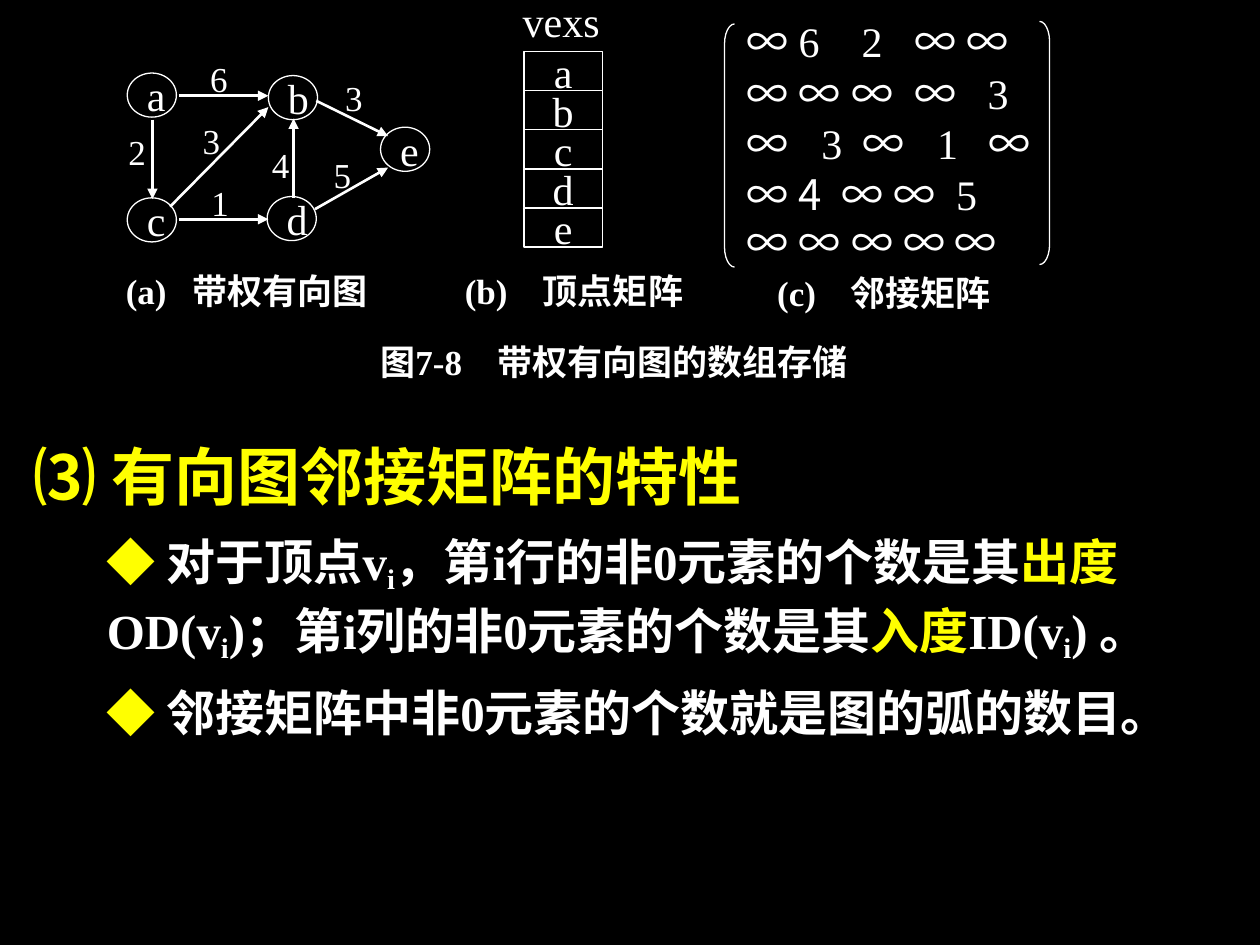
from lxml import etree
from pptx import Presentation
from pptx.dml.color import RGBColor
from pptx.enum.shapes import MSO_CONNECTOR, MSO_SHAPE
from pptx.enum.text import MSO_ANCHOR, PP_ALIGN
from pptx.oxml.ns import qn
from pptx.util import Inches, Pt

OVAL, RECTANGLE = MSO_SHAPE.OVAL, MSO_SHAPE.RECTANGLE
LEFT_BRACKET, RIGHT_BRACKET = MSO_SHAPE.LEFT_BRACKET, MSO_SHAPE.RIGHT_BRACKET
LEFT, CENTER = PP_ALIGN.LEFT, PP_ALIGN.CENTER
TOP, MIDDLE = MSO_ANCHOR.TOP, MSO_ANCHOR.MIDDLE
STRAIGHT = MSO_CONNECTOR.STRAIGHT

COLORS = {"back": "000000", "text": "FFFFFF", "accent": "FFFF00"}
SERIF, SANS = "Times New Roman", "Noto Sans CJK SC"

# Content: weighted directed graph (lengths in inches)
VERTICES = {"a": (1.01, 0.58), "b": (2.13, 0.6), "c": (1.01, 1.57),
            "d": (2.12, 1.56), "e": (3.02, 1.01)}
VERTEX_SIZE = (0.39, 0.35)
EDGES = [  # weight, label corner, start, end
    ("6", (1.57, 0.47), (1.42, 0.76), (2.13, 0.76)),
    ("2", (0.92, 1.05), (1.21, 0.95), (1.21, 1.58)),
    ("3", (1.51, 0.96), (1.35, 1.64), (2.13, 0.85)),
    ("1", (1.58, 1.45), (1.42, 1.74), (2.13, 1.74)),
    ("4", (2.06, 1.15), (2.33, 1.57), (2.33, 0.94)),
    ("3", (2.64, 0.62), (2.51, 0.8), (3.08, 1.08)),
    ("5", (2.55, 1.23), (2.5, 1.66), (3.08, 1.33)),
]

# Content: adjacency matrix, each row with its top and tab stops
MATRIX = [
    ("∞ 6 2 ∞ ∞", 0.15, (0.41, 0.91, 1.33, 1.74)),
    ("∞ ∞ ∞ ∞ 3", 0.56, (0.41, 0.83, 1.33, 1.91)),
    ("∞ 3 ∞ 1 ∞", 0.96, (0.59, 0.92, 1.51, 1.92)),
    ("∞ 4 ∞ ∞ 5", 1.36, (0.41, 0.75, 1.16, 1.66)),
    ("∞ ∞ ∞ ∞ ∞", 1.74, (0.41, 0.83, 1.24, 1.65)),
]
SANS_VALUES = {"∞", "4"}
MATRIX_LEFT, MATRIX_WIDTH = 5.83, 2.5
BRACKETS = [(LEFT_BRACKET, 5.75, 0.19), (RIGHT_BRACKET, 8.25, 0.17)]

CAPTIONS = [  # text, box, tab stop
    ("(a)\t带权有向图", (0.9, 2.13, 2.1, 0.35), 0.53),
    ("(b)\t顶点矩阵", (3.59, 2.13, 1.95, 0.35), 0.62),
    ("(c)\t邻接矩阵", (6.07, 2.15, 1.95, 0.35), 0.58),
    ("图7-8\t带权有向图的数组存储", (2.92, 2.69, 3.95, 0.35), 0.93),
]

# Content: properties, as (text, format) spans
ACCENT, SUB = {"color": "accent"}, {"base": -18}
BULLET = ("◆ ", {"color": "accent", "font": SANS})
HEADING = [("⑶ ", {"font": SANS}), ("有向图邻接矩阵的特性", {})]
POINTS = [
    [BULLET, ("对于顶点v", {}), ("i", SUB),
     ("，第i行的非0元素的个数是其", {}), ("出度", ACCENT),
     ("OD(v", {}), ("i", SUB), (")；第i列的非0元素的个数是其", {}),
     ("入度", ACCENT), ("ID(v", {}), ("i", SUB), (") 。", {})],
    [BULLET, ("邻接矩阵中非0元素的个数就是图的弧的数目。", {})],
]


def rgb(name):
    return RGBColor.from_string(COLORS[name])


def add_span(para, text, size=24, color="text", font=SERIF, bold=False, base=0):
    span = para.add_run()
    span.text = text
    span.font.size = Pt(size)
    span.font.bold = bold
    span.font.color.rgb = rgb(color)
    span.font.name = font
    props = span.font._element
    etree.SubElement(props, qn("a:ea")).set("typeface", SANS)
    if base:
        props.set("baseline", str(base * 1000))


def prepare(shape, wrap=False, anchor=MIDDLE):
    frame = shape.text_frame
    frame.word_wrap = wrap
    frame.vertical_anchor = anchor
    return frame


def set_tabs(para, stops):
    tabs = etree.SubElement(para._p.get_or_add_pPr(), qn("a:tabLst"))
    for stop in stops:
        etree.SubElement(tabs, qn("a:tab"), pos=str(Inches(stop)), algn="l")


def add_text(page, area, spans, tabs=(), **style):
    box = page.shapes.add_textbox(*map(Inches, area))
    frame = prepare(box)
    frame.margin_right = 0
    para = frame.paragraphs[0]
    if tabs:
        set_tabs(para, tabs)
    for text, extra in spans:
        add_span(para, text, **{**style, **extra})


def add_outline(page, kind, area, text="", align=LEFT):
    shape = page.shapes.add_shape(kind, *map(Inches, area))
    shape.shadow.inherit = False
    shape.fill.background()
    shape.line.color.rgb = rgb("text")
    shape.line.width = Pt(0.75)
    if text:
        para = prepare(shape).paragraphs[0]
        para.alignment = align
        add_span(para, text)
    return shape


def add_arrow(page, start, end):
    arrow = page.shapes.add_connector(STRAIGHT, *map(Inches, start + end))
    arrow.line.color.rgb = rgb("text")
    arrow.line.width = Pt(1.5)
    etree.SubElement(arrow.line._get_or_add_ln(), qn("a:tailEnd"), type="triangle")
    etree.SubElement(arrow._element.spPr, qn("a:effectLst"))


def add_graph(page):
    for name, corner in VERTICES.items():
        add_outline(page, OVAL, corner + VERTEX_SIZE, name)
    for weight, corner, start, end in EDGES:
        add_arrow(page, start, end)
        add_text(page, corner + (0.31, 0.31), [(weight, {})], size=20)


def add_vertex_list(page):
    add_text(page, (4.05, -0.01, 0.85, 0.35), [("vexs", {})])
    for row, name in enumerate(VERTICES):
        add_outline(page, RECTANGLE, (4.16, 0.41 + row * 0.31, 0.62, 0.31), name, CENTER)


def add_matrix(page):
    for values, top, stops in MATRIX:
        spans = []
        for column, value in enumerate(values.split()):
            font = SANS if value in SANS_VALUES else SERIF
            spans.append(("\t" * (column > 0) + value, {"font": font}))
        add_text(page, (MATRIX_LEFT, top, MATRIX_WIDTH, 0.35), spans, tabs=stops)
    for kind, left, top in BRACKETS:
        bracket = add_outline(page, kind, (left, top, 0.08, 1.93))
        bracket.adjustments[0] = 2.0


def add_properties(page):
    box = page.shapes.add_textbox(*map(Inches, (0.17, 3.36, 9.64, 2.52)))
    frame = prepare(box, wrap=True, anchor=TOP)
    for index, spans in enumerate([HEADING] + POINTS):
        para = frame.add_paragraph() if index else frame.paragraphs[0]
        para.line_spacing = 1.1
        style = {"size": 36, "color": "accent", "bold": True}
        if index:
            para.space_before = Pt(7)
            para.level = 1
            props = para._p.get_or_add_pPr()
            props.set("marL", str(Inches(0.58)))
            props.set("indent", "0")
            style.update(size=28, color="text")
        for text, extra in spans:
            add_span(para, text, **{**style, **extra})


def main():
    deck = Presentation()
    deck.slide_width, deck.slide_height = Inches(10), Inches(7.5)
    page = deck.slides.add_slide(deck.slide_layouts[6])
    page.background.fill.solid()
    page.background.fill.fore_color.rgb = rgb("back")
    add_graph(page)
    add_vertex_list(page)
    add_matrix(page)
    for text, area, stop in CAPTIONS:
        add_text(page, area, [(text, {})], tabs=[stop], size=20, bold=True)
    add_properties(page)
    deck.save("out.pptx")


if __name__ == "__main__":
    main()
